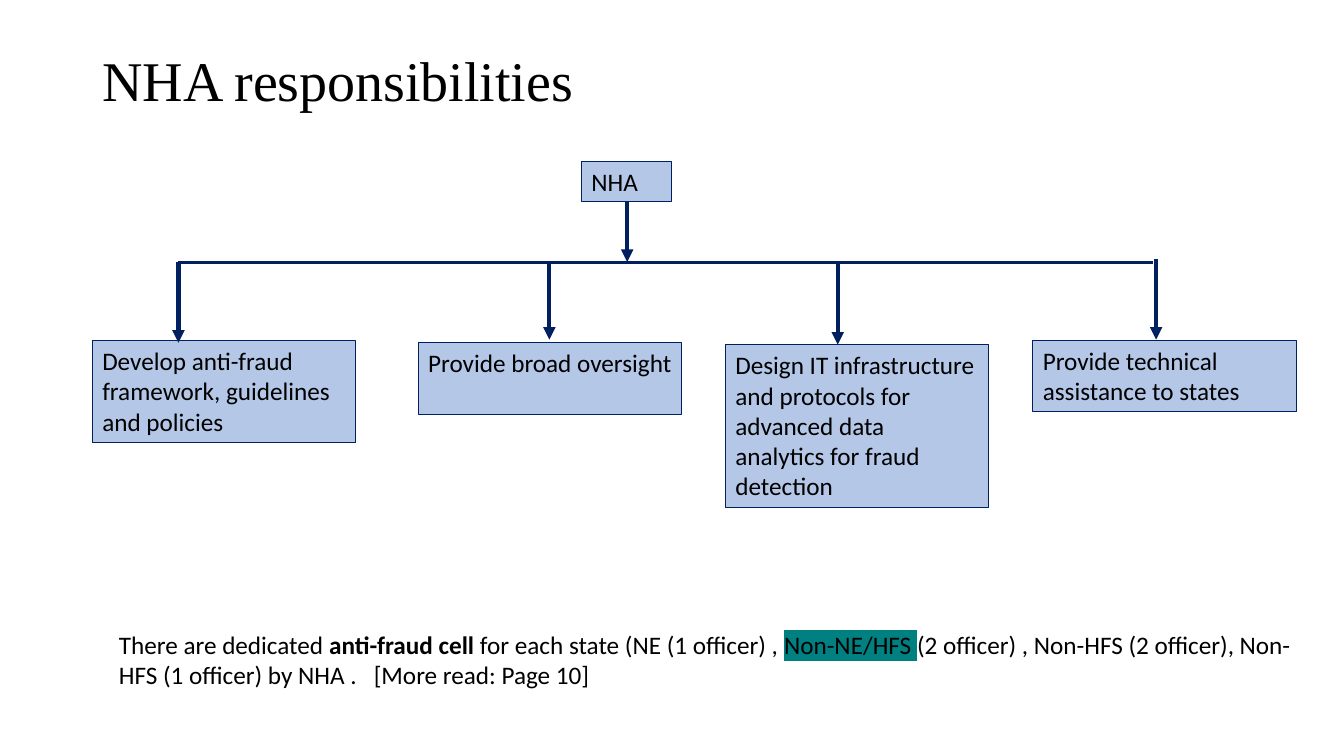
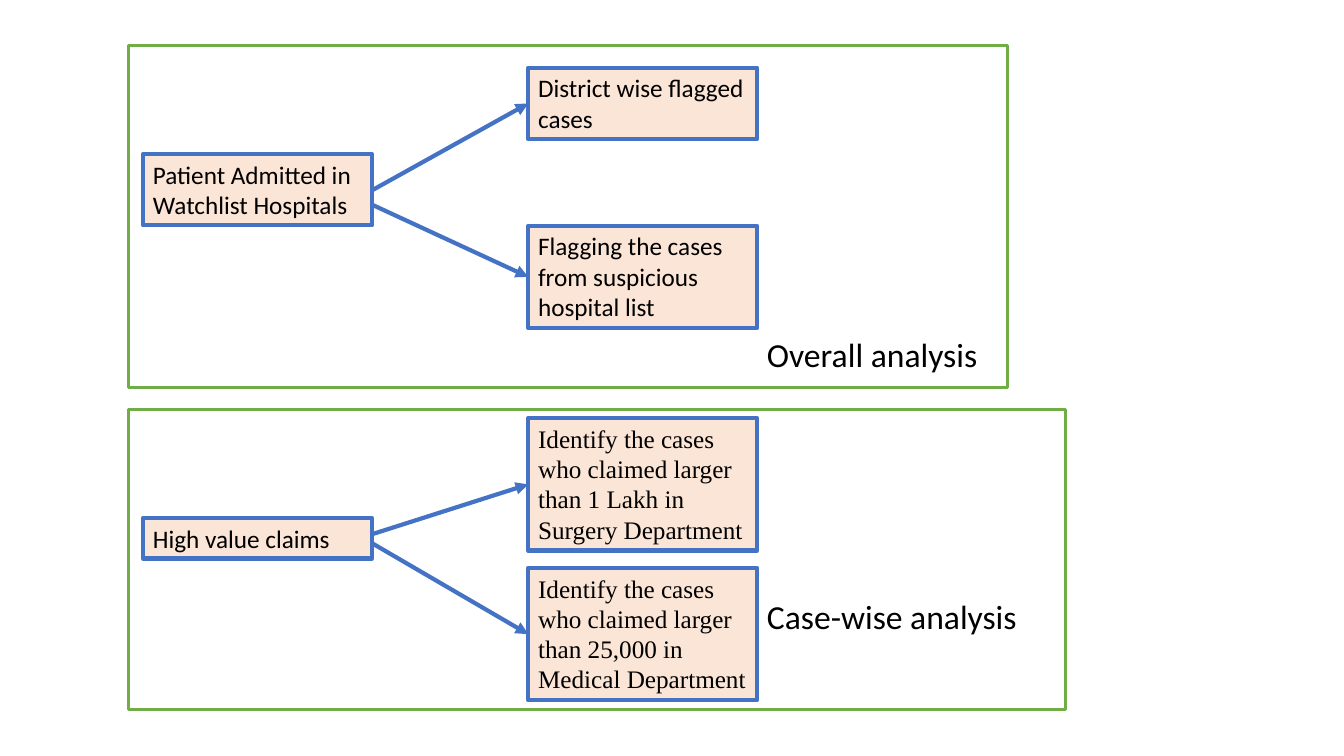
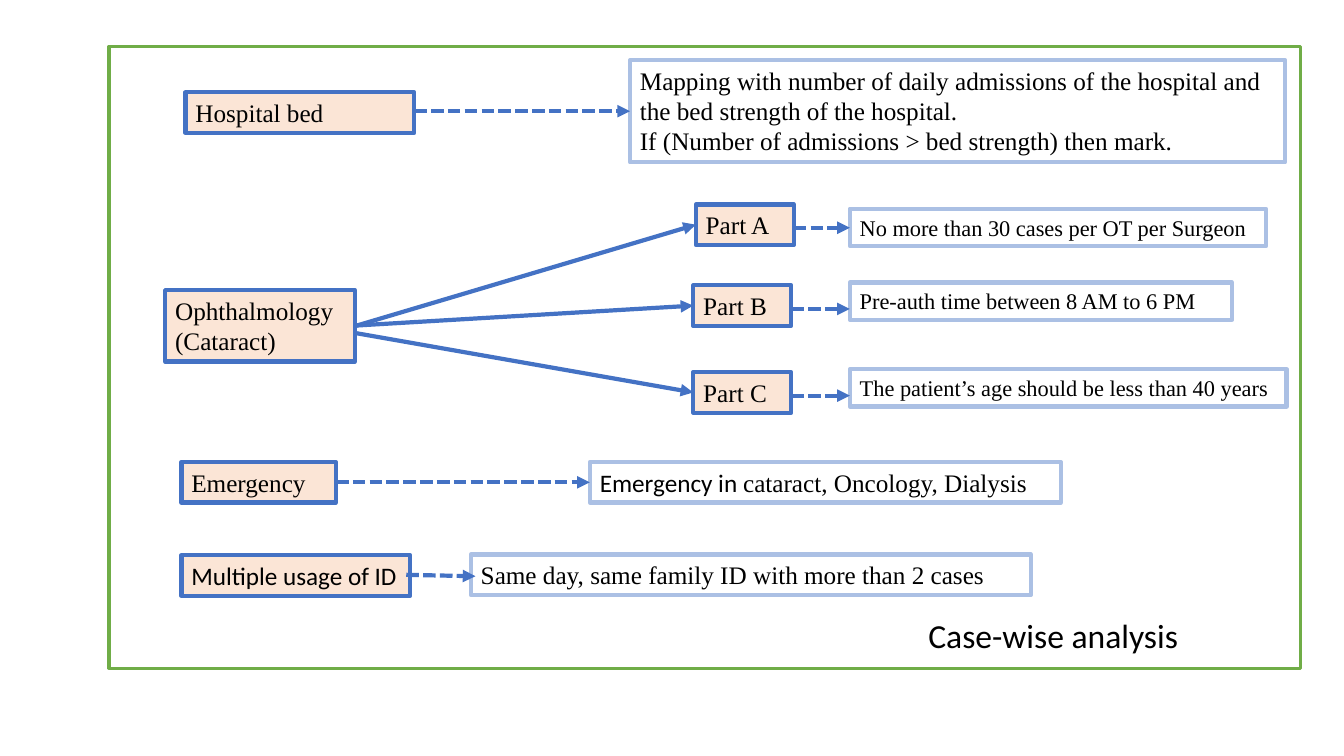
from typing import NamedTuple, Optional

from lxml import etree
from pptx import Presentation
from pptx.dml.color import RGBColor
from pptx.enum import dml, shapes, text
from pptx.oxml import ns
from pptx.util import Pt

BLACK = RGBColor(0x00, 0x00, 0x00)
WHITE = RGBColor(0xFF, 0xFF, 0xFF)
NAVY = RGBColor(0x00, 0x20, 0x60)
PALE_BLUE = RGBColor(0xB4, 0xC7, 0xE7)
SOFT_BLUE = RGBColor(0xAB, 0xC0, 0xE4)
BLUE = RGBColor(0x44, 0x72, 0xC4)
PEACH = RGBColor(0xFB, 0xE5, 0xD6)
GREEN = RGBColor(0x70, 0xAD, 0x47)
TEAL = RGBColor(0x00, 0x80, 0x80)

SANS = "Calibri"
SERIF = "Times New Roman"
TITLE_ONLY, BLANK = 5, 6


class BoxStyle(NamedTuple):
    fill: Optional[RGBColor]
    line: RGBColor
    weight: float


DUTY = BoxStyle(PALE_BLUE, NAVY, 0.75)
CHECK = BoxStyle(PEACH, BLUE, 3)
RULE = BoxStyle(None, SOFT_BLUE, 3)
PANEL = BoxStyle(WHITE, GREEN, 2.25)


def format_run(r, font, size):
    r.font.name = font
    r.font.size = Pt(size)
    r.font.color.rgb = BLACK


def add_run(p, words, font=SANS, size=18):
    r = p.add_run()
    r.text = words
    format_run(r, font, size)
    return r


def highlight(r, color):
    """Mark a run; the highlight element has to follow the text fill."""
    mark = etree.Element(ns.qn("a:highlight"))
    etree.SubElement(mark, ns.qn("a:srgbClr"), val=str(color))
    r.font.fill  # the fill is already set by format_run
    r.font._element.find(ns.qn("a:solidFill")).addnext(mark)


def write(tf, words, font, size):
    tf.word_wrap = True
    tf.auto_size = text.MSO_AUTO_SIZE.SHAPE_TO_FIT_TEXT
    tf.vertical_anchor = text.MSO_ANCHOR.TOP
    tf.text = words
    for p in tf.paragraphs:
        p.alignment = text.PP_ALIGN.LEFT
        for r in p.runs:
            format_run(r, font, size)


def add_box(s, style, x, y, w, h, words="", font=SANS, size=18):
    sp = s.shapes.add_shape(shapes.MSO_SHAPE.RECTANGLE, Pt(x), Pt(y), Pt(w), Pt(h))
    sp.shadow.inherit = False
    if style.fill is None:
        sp.fill.background()
    else:
        sp.fill.solid()
        sp.fill.fore_color.rgb = style.fill
    sp.line.color.rgb = style.line
    sp.line.width = Pt(style.weight)
    if words:
        write(sp.text_frame, words, font, size)
    return sp


def add_label(s, x, y, w, h, words, size=24):
    sp = s.shapes.add_textbox(Pt(x), Pt(y), Pt(w), Pt(h))
    write(sp.text_frame, words, SANS, size)
    return sp


def add_line(s, x1, y1, x2, y2, color=BLUE, weight=3, arrow=True, dashed=False):
    c = s.shapes.add_connector(
        shapes.MSO_CONNECTOR.STRAIGHT, Pt(x1), Pt(y1), Pt(x2), Pt(y2))
    c.line.color.rgb = color
    c.line.width = Pt(weight)
    if dashed:
        c.line.dash_style = dml.MSO_LINE.SQUARE_DOT
    props = c.element.spPr
    if arrow:
        etree.SubElement(props.get_or_add_ln(), ns.qn("a:tailEnd"), type="triangle")
    etree.SubElement(props, ns.qn("a:effectLst"))


def link(s, source, target, y1=None, y2=None, dashed=False):
    """Arrow from the right edge of source to the left edge of target.

    Both ends sit at mid-height unless y1 or y2 is given.
    """
    if y1 is None:
        y1 = (source.top + source.height / 2) / Pt(1)
    if y2 is None:
        y2 = (target.top + target.height / 2) / Pt(1)
    right = (source.left + source.width) / Pt(1)
    add_line(s, right, y1, target.left / Pt(1), y2, dashed=dashed)


def add_title(s, words):
    sp = s.shapes.title
    sp.left, sp.top, sp.width, sp.height = Pt(66), Pt(28.8), Pt(828), Pt(62)
    tf = sp.text_frame
    write(tf, words, SERIF, 40)
    tf.auto_size = text.MSO_AUTO_SIZE.NONE
    tf.vertical_anchor = text.MSO_ANCHOR.MIDDLE
    tf.paragraphs[0].line_spacing = 0.9


def responsibilities_slide(prs):
    s = prs.slides.add_slide(prs.slide_layouts[TITLE_ONLY])
    add_title(s, "NHA responsibilities")
    add_box(s, DUTY, 415.3, 115.2, 64.5, 29, "NHA")

    bus_y = 187.2
    add_line(s, 448, 144.5, 448, bus_y, NAVY)
    add_line(s, 127.5, bus_y, 823.7, bus_y, NAVY, 2.25, arrow=False)
    duties = [  # box left, top, height, arrow x, arrow start, arrow end, words
        (66, 243.2, 73, 127.5, bus_y, 244.8,
         "Develop anti-fraud framework, guidelines and policies"),
        (298.8, 244.8, 51, 392.4, bus_y, 242.6, "Provide broad oversight"),
        (518.2, 246.2, 116.5, 598.4, bus_y, 246.2,
         "Design IT infrastructure and protocols for advanced data analytics "
         "for fraud detection"),
        (737.8, 243.2, 51, 825.8, 185, 242.6,
         "Provide technical assistance to states"),
    ]
    for x, y, h, arrow_x, start, end, words in duties:
        add_box(s, DUTY, x, y, 188, h, words)
        add_line(s, arrow_x, start, arrow_x, end, NAVY)

    note = add_label(s, 77.8, 445.7, 864.7, 51, "There are dedicated ", 18)
    p = note.text_frame.paragraphs[0]
    add_run(p, "anti-fraud cell ").font.bold = True
    add_run(p, "for each state (NE (1 officer) , ")
    highlight(add_run(p, "Non-NE/HFS "), TEAL)
    add_run(p, "(2 officer) , Non-HFS (2 officer), Non-HFS (1 officer) by NHA ."
               "   [More read: Page 10]")


def watchlist_slide(prs):
    s = prs.slides.add_slide(prs.slide_layouts[BLANK])
    add_box(s, PANEL, 92, 292.3, 669, 214.7)
    add_box(s, PANEL, 92, 32.8, 628, 244.3)
    groups = [  # source box, then target boxes with the arrow start
        ((110, 51, "Patient Admitted in Watchlist Hospitals"), SANS, [
            (48.4, 51, 136, "District wise flagged cases"),
            (161.3, 73, 146.2, "Flagging the cases from suspicious hospital list")]),
        ((370, 29, "High value claims"), SERIF, [
            (298.8, 94.5, 381.6,
             "Identify the cases who claimed larger than 1 Lakh in Surgery Department"),
            (405.7, 94.5, 388,
             "Identify the cases who claimed larger than 25,000 in Medical Department")]),
    ]
    for (y, h, words), font, targets in groups:
        source = add_box(s, CHECK, 102.2, y, 163.5, h, words)
        for target_y, target_h, start_y, target_words in targets:
            target = add_box(s, CHECK, 377.3, target_y, 163.5, target_h,
                             target_words, font)
            link(s, source, target, start_y)
    add_label(s, 540.7, 234.7, 169.2, 36, "Overall analysis")
    add_label(s, 540.7, 422, 198, 36, "Case-wise analysis")


def case_rules_slide(prs):
    s = prs.slides.add_slide(prs.slide_layouts[BLANK])
    add_box(s, PANEL, 77.8, 33.1, 851, 444.2)
    add_label(s, 656, 435.6, 216, 36, "Case-wise analysis")

    bed = add_box(s, CHECK, 132.5, 66, 163.4, 29, "Hospital bed", SERIF)
    mapping = add_box(
        s, RULE, 450, 43, 468, 73,
        "Mapping with number of daily admissions of the hospital and the bed "
        "strength of the hospital.\n"
        "If (Number of admissions > bed strength) then mark.", SERIF)
    link(s, bed, mapping, 79.4, 79.4, dashed=True)

    eye = add_box(s, CHECK, 118, 207.3, 135.4, 51, "Ophthalmology (Cataract)", SERIF)
    parts = [  # words, left, top, fan start, rule top, rule width, arrow y, rule
        ("Part A", 497, 146, 233, 149.2, 297.4, 162.7,
         "No more than 30 cases per OT per Surgeon"),
        ("Part B", 495.2, 203.8, 232.6, 201.8, 273, 220.7,
         "Pre-auth time between 8 AM to 6 PM"),
        ("Part C", 495.2, 265.8, 237.8, 263.8, 312, 282.6,
         "The patient’s age should be less than 40 years"),
    ]
    for words, x, y, fan_y, rule_y, rule_w, arrow_y, rule_words in parts:
        part = add_box(s, CHECK, x, y, 70, 29, words, SERIF)
        rule = add_box(s, RULE, 607, rule_y, rule_w, 26.6, rule_words, SERIF, 16)
        link(s, eye, part, fan_y)
        link(s, part, rule, arrow_y, arrow_y, dashed=True)

    emergency = add_box(s, CHECK, 129.6, 330, 110.4, 29, "Emergency", SERIF)
    fields = add_box(s, RULE, 421.3, 330, 336.4, 29, "Emergency in ")
    add_run(fields.text_frame.paragraphs[0], "cataract, Oncology, Dialysis", SERIF)
    link(s, emergency, fields, dashed=True)

    add_box(s, CHECK, 129.6, 396.6, 163.4, 29, "Multiple usage of ID")
    add_box(s, RULE, 336.3, 396, 400, 29,
            "Same day, same family ID with more than 2 cases", SERIF)
    add_line(s, 290.2, 410.6, 339.6, 411.6, dashed=True)


def main():
    prs = Presentation()
    prs.slide_width, prs.slide_height = Pt(960), Pt(540)
    responsibilities_slide(prs)
    watchlist_slide(prs)
    case_rules_slide(prs)
    prs.save("out.pptx")


if __name__ == "__main__":
    main()
